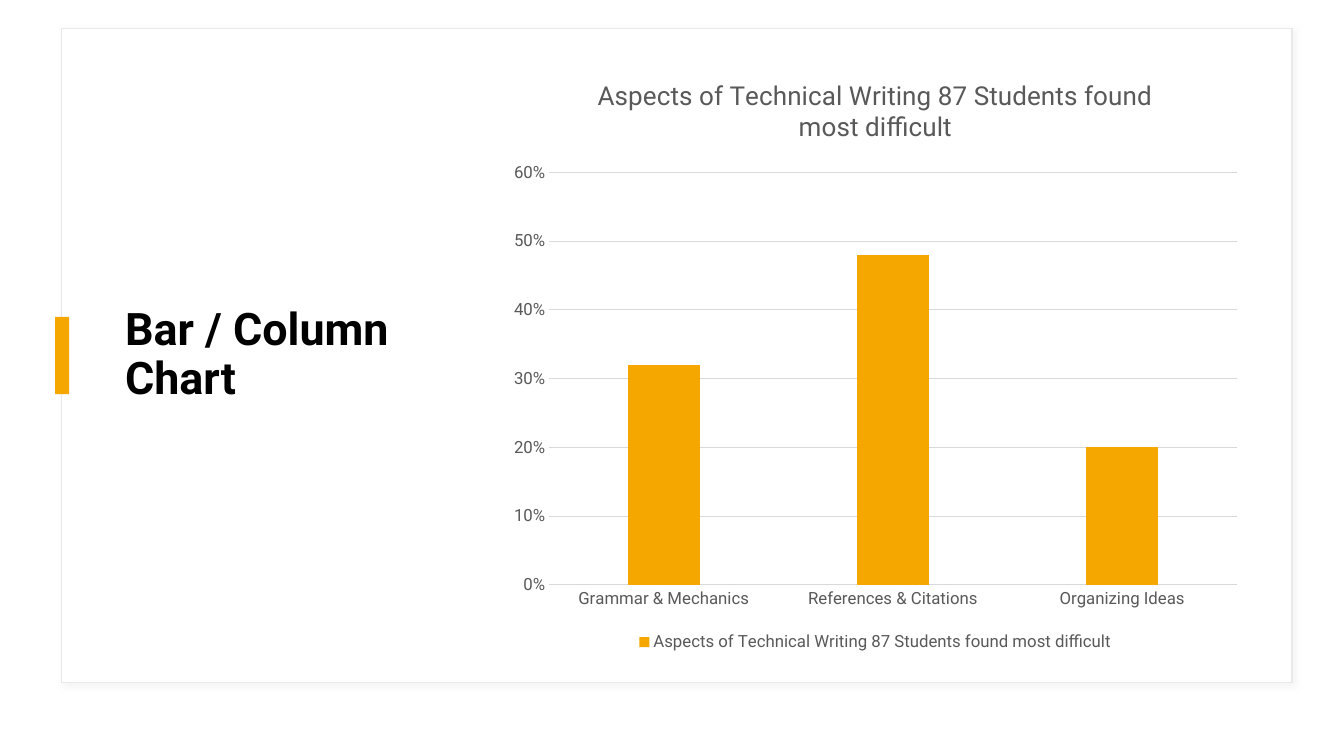
"""Build a slide with a panel, a title and a column chart."""
from dataclasses import dataclass

from lxml.etree import SubElement
from pptx import Presentation
from pptx.chart.data import CategoryChartData
from pptx.dml.color import RGBColor
from pptx.enum.chart import XL_CHART_TYPE, XL_LEGEND_POSITION, XL_TICK_MARK
from pptx.enum.shapes import MSO_SHAPE
from pptx.enum.text import MSO_ANCHOR, MSO_AUTO_SIZE, PP_ALIGN
from pptx.oxml.ns import qn
from pptx.util import Pt

FONT = "Roboto"
WHITE = RGBColor(0xFF, 0xFF, 0xFF)
BLACK = RGBColor(0x00, 0x00, 0x00)
ORANGE = RGBColor(0xF5, 0xA7, 0x00)
GREY = RGBColor(0x59, 0x59, 0x59)
GRID = RGBColor(0xD9, 0xD9, 0xD9)
BORDER = RGBColor(0xE9, 0xE9, 0xE9)

CHART_TITLE = "Aspects of Technical Writing 87 Students found most difficult"
SHARES = {
    "Grammar & Mechanics": 0.32,
    "References & Citations": 0.48,
    "Organizing Ideas": 0.2,
}


@dataclass
class Box:
    left: float
    top: float
    width: float
    height: float
    fill: RGBColor = WHITE
    line: RGBColor | None = None

    def frame(self) -> tuple:
        return Pt(self.left), Pt(self.top), Pt(self.width), Pt(self.height)


PANEL = Box(44, 20.2, 879, 467.2, line=BORDER)
ACCENT = Box(39.4, 226.4, 10, 55.2, fill=ORANGE)
TITLE = Box(82.1, 39.6, 235.4, 428.4)
CHART = Box(356.4, 40.3, 537.8, 428.4)


def add_box(s, box: Box):
    sp = s.shapes.add_shape(MSO_SHAPE.RECTANGLE, *box.frame())
    sp.shadow.inherit = False
    sp.fill.solid()
    sp.fill.fore_color.rgb = box.fill
    if box.line is None:
        sp.line.fill.background()
    else:
        sp.line.color.rgb = box.line
        sp.line.width = Pt(1)
    return sp


def add_soft_shadow(sp) -> None:
    effects = sp.element.spPr.find(qn("a:effectLst"))
    shadow = SubElement(effects, qn("a:outerShdw"), blurRad=str(Pt(4)),
                        dist=str(Pt(3)), dir="2700000", algn="tl", rotWithShape="0")
    color = SubElement(shadow, qn("a:srgbClr"), val=str(GRID))
    SubElement(color, qn("a:alpha"), val="30000")


def style_font(font, size: float, color: RGBColor, bold: bool = False) -> None:
    font.name = FONT
    font.size = Pt(size)
    font.bold = bold
    font.color.rgb = color


def set_title(s, text: str) -> None:
    title = s.shapes.title
    title.left, title.top, title.width, title.height = TITLE.frame()
    tf = title.text_frame
    tf.text = text
    tf.word_wrap = True
    tf.auto_size = MSO_AUTO_SIZE.NONE
    tf.vertical_anchor = MSO_ANCHOR.MIDDLE
    p = tf.paragraphs[0]
    p.alignment = PP_ALIGN.LEFT
    p.line_spacing = 0.9
    style_font(p.runs[0].font, 32, BLACK, bold=True)


def style_axis(axis) -> None:
    axis.major_tick_mark = XL_TICK_MARK.NONE
    axis.minor_tick_mark = XL_TICK_MARK.NONE
    style_font(axis.tick_labels.font, 12, GREY)


def add_share_chart(s) -> None:
    data = CategoryChartData(number_format="0%")
    data.categories = list(SHARES)
    data.add_series(CHART_TITLE, list(SHARES.values()))
    chart = s.shapes.add_chart(
        XL_CHART_TYPE.COLUMN_CLUSTERED, *CHART.frame(), data).chart
    style_font(chart.font, 10, BLACK)

    chart.has_title = True
    tf = chart.chart_title.text_frame
    tf.text = CHART_TITLE
    style_font(tf.paragraphs[0].runs[0].font, 18.6, GREY)
    chart.chart_title.include_in_layout = False

    chart.has_legend = True
    chart.legend.position = XL_LEGEND_POSITION.BOTTOM
    chart.legend.include_in_layout = False
    style_font(chart.legend.font, 12, GREY)

    cat_axis, val_axis = chart.category_axis, chart.value_axis
    style_axis(cat_axis)
    style_axis(val_axis)
    val_axis.minimum_scale = 0
    val_axis.maximum_scale = 0.6
    val_axis.major_unit = 0.1
    val_axis.tick_labels.number_format = "0%"
    val_axis.tick_labels.number_format_is_linked = False
    val_axis.format.line.fill.background()
    for line in (cat_axis.format.line, val_axis.major_gridlines.format.line):
        line.color.rgb = GRID
        line.width = Pt(0.75)

    plot = chart.plots[0]
    plot.vary_by_categories = False
    plot.gap_width = 219
    plot.overlap = -27
    fill = plot.series[0].format.fill
    fill.solid()
    fill.fore_color.rgb = ORANGE


def main() -> None:
    prs = Presentation()
    prs.slide_width, prs.slide_height = Pt(960), Pt(540)
    s = prs.slides.add_slide(prs.slide_layouts[5])
    panel = add_box(s, PANEL)
    add_soft_shadow(panel)
    s.shapes.title.element.addprevious(panel.element)
    set_title(s, "Bar / Column Chart")
    add_box(s, ACCENT)
    add_share_chart(s)
    prs.save("out.pptx")


if __name__ == "__main__":
    main()
